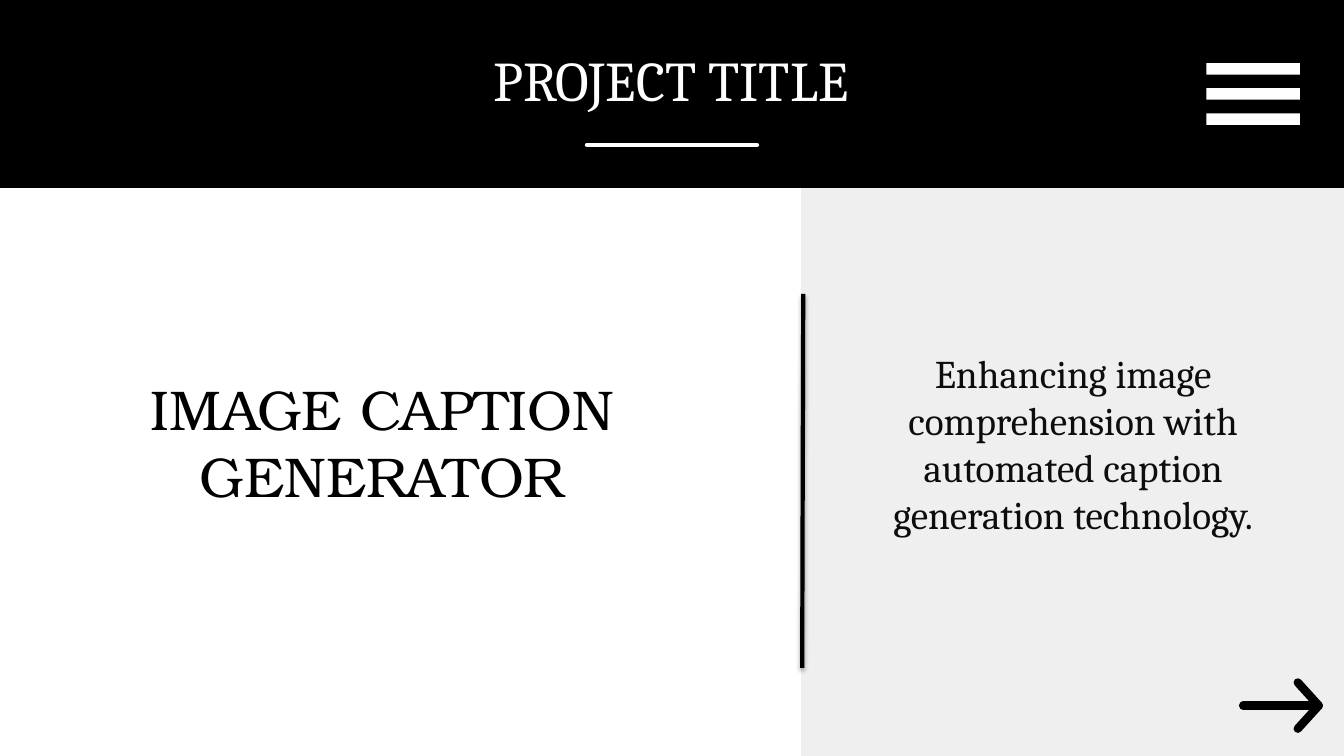
"""Builds the project title slide of the image caption generator deck."""
from dataclasses import dataclass

from lxml import etree
from pptx import Presentation
from pptx import util as u
from pptx.dml.color import RGBColor
from pptx.enum import shapes, text
from pptx.oxml.ns import qn

EMU_PER_PX = 9525


@dataclass(frozen=True)
class Theme:
    black: str = "000000"
    white: str = "FFFFFF"
    panel: str = "EFEFEF"
    ink: str = "0D0D0D"
    serif: str = "Cambria"
    display: str = "TeX Gyre Bonum"
    heading_pt: int = 40
    caption_pt: int = 28


@dataclass(frozen=True)
class Block:
    x: int
    y: int
    width: int
    height: int
    color: str


@dataclass(frozen=True)
class Stroke:
    x1: int
    y1: int
    x2: int
    y2: int
    color: str
    weight: int
    cap: str = "rnd"
    shadow: bool = False


@dataclass(frozen=True)
class Label:
    x: int
    y: int
    width: int
    height: int
    words: str
    font: str
    size: int
    color: str
    insets: tuple[int, int, int, int] = (12, 12, 12, 12)
    anchor: text.MSO_ANCHOR = text.MSO_ANCHOR.TOP


THEME = Theme()

BLOCKS = [
    Block(763, 138, 517, 582, THEME.panel),
    Block(0, 0, 1280, 179, THEME.black),
    *(Block(1149, 60 + 24 * bar, 89, 11, THEME.white) for bar in range(3)),
]

STROKES = [
    Stroke(559, 138, 721, 138, THEME.white, 3),
    Stroke(1184, 672, 1252, 672, THEME.black, 6),
    *(Stroke(1236, 672 + rise, 1256, 672, THEME.black, 6) for rise in (22, -22)),
    Stroke(765, 280, 764, 636, THEME.black, 3, cap="flat", shadow=True),
]

LABELS = [
    Label(43, 31, 1192, 80, "PROJECT TITLE", THEME.serif, THEME.heading_pt, THEME.white),
    Label(19, 280, 690, 380, "IMAGE CAPTION GENERATOR", THEME.display,
          THEME.heading_pt, THEME.black, (12, 12, 12, 111), text.MSO_ANCHOR.MIDDLE),
    Label(788, 328, 468, 191,
          "Enhancing image comprehension with automated caption generation technology.",
          THEME.serif, THEME.caption_pt, THEME.ink, (10, 5, 10, 5)),
]


def px(length: int) -> u.Emu:
    """Turn a length in px into EMU."""
    return u.Emu(length * EMU_PER_PX)


def draw_block(slide, block: Block) -> None:
    """Draw a plain filled rectangle."""
    rectangle = slide.shapes.add_shape(
        shapes.MSO_SHAPE.RECTANGLE,
        px(block.x), px(block.y), px(block.width), px(block.height))
    rectangle.shadow.inherit = False
    rectangle.fill.solid()
    rectangle.fill.fore_color.rgb = RGBColor.from_string(block.color)
    rectangle.line.fill.background()


def draw_stroke(slide, stroke: Stroke) -> None:
    """Draw a straight line, with a soft shadow where it asks for one."""
    connector = slide.shapes.add_connector(
        shapes.MSO_CONNECTOR.STRAIGHT,
        px(stroke.x1), px(stroke.y1), px(stroke.x2), px(stroke.y2))
    connector.line.color.rgb = RGBColor.from_string(stroke.color)
    connector.line.width = u.Pt(stroke.weight)
    properties = connector._element.spPr
    properties.find(qn("a:ln")).set("cap", stroke.cap)
    effects = etree.SubElement(properties, qn("a:effectLst"))
    if stroke.shadow:
        cast = etree.SubElement(
            effects, qn("a:outerShdw"), blurRad=str(u.Pt(3.1)),
            dist=str(u.Pt(1.8)), dir="5400000", rotWithShape="0")
        tint = etree.SubElement(cast, qn("a:srgbClr"), val=THEME.black)
        etree.SubElement(tint, qn("a:alpha"), val="35000")


def draw_label(slide, label: Label) -> None:
    """Draw a centred text box."""
    box = slide.shapes.add_textbox(
        px(label.x), px(label.y), px(label.width), px(label.height))
    frame = box.text_frame
    frame.word_wrap = True
    frame.vertical_anchor = label.anchor
    (frame.margin_left, frame.margin_top,
     frame.margin_right, frame.margin_bottom) = map(px, label.insets)
    paragraph = frame.paragraphs[0]
    paragraph.text = label.words
    paragraph.alignment = text.PP_ALIGN.CENTER
    paragraph.font.name = label.font
    paragraph.font.size = u.Pt(label.size)
    paragraph.font.color.rgb = RGBColor.from_string(label.color)


def main() -> None:
    """Build the slide and save it."""
    deck = Presentation()
    deck.slide_width, deck.slide_height = px(1280), px(720)
    slide = deck.slides.add_slide(deck.slide_layouts[6])
    for block in BLOCKS:
        draw_block(slide, block)
    for stroke in STROKES:
        draw_stroke(slide, stroke)
    for label in LABELS:
        draw_label(slide, label)
    deck.save("out.pptx")


if __name__ == "__main__":
    main()
